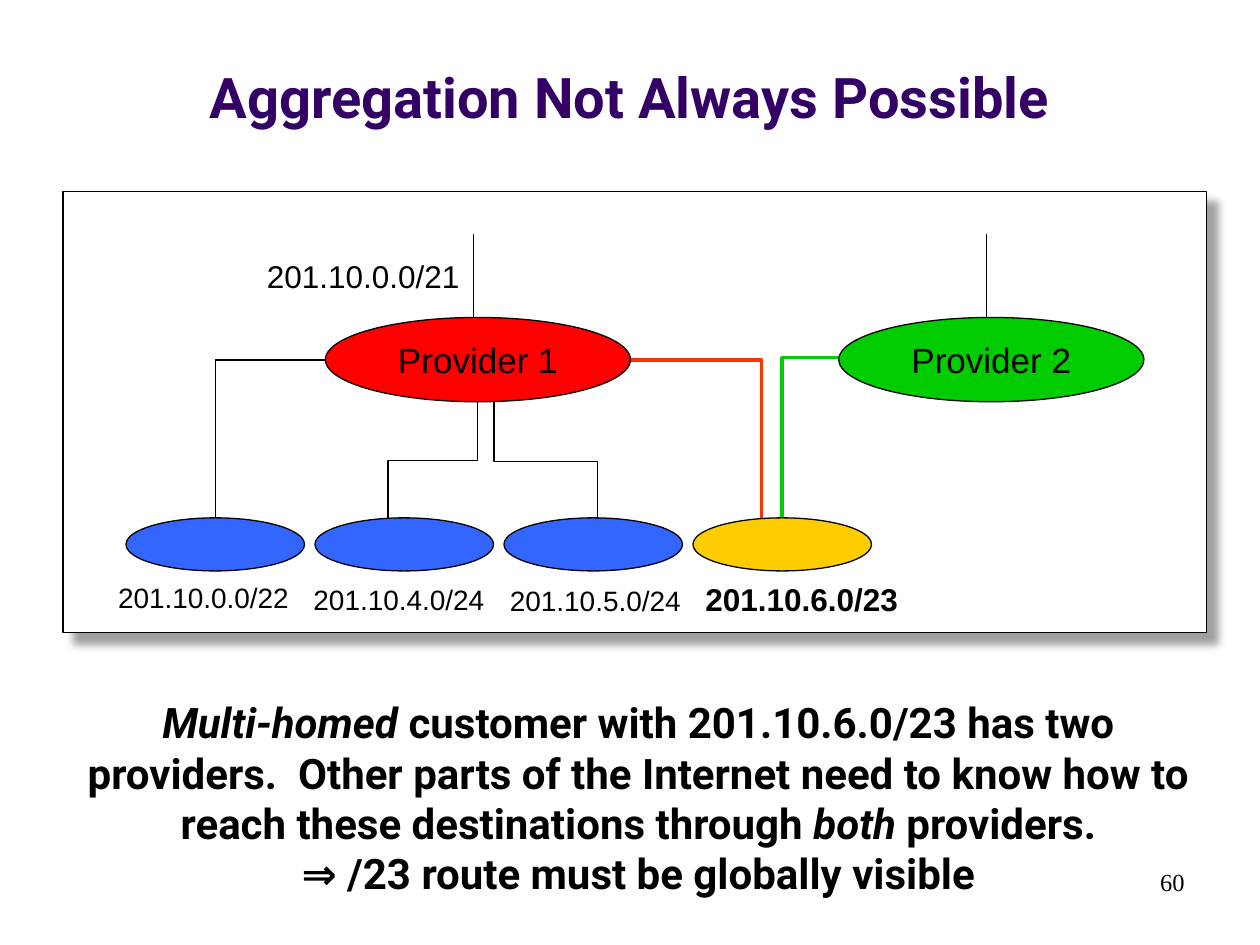
import pptx
import pptx.util
import pptx.dml.color
import pptx.enum.shapes
import pptx.enum.text
import pptx.oxml.ns
import lxml.etree

Cm, Pt = pptx.util.Cm, pptx.util.Pt
Kind = pptx.enum.shapes.MSO_SHAPE
Link = pptx.enum.shapes.MSO_CONNECTOR
Align = pptx.enum.text.PP_ALIGN
Anchor = pptx.enum.text.MSO_ANCHOR
qn = pptx.oxml.ns.qn

BLACK, WHITE, GREEN = "000000", "FFFFFF", "00CC00"
TITLE = "Aggregation Not Always Possible"
BODY = [
    [("Multi-homed", True),
     (" customer with 201.10.6.0/23 has two providers.  Other parts of the "
      "Internet need to know how to reach these destinations through ", False),
     ("both", True), (" providers.", False)],
    [("\u21d2 /23 route must be globally visible", False)],
]
LABELS = [
    ("201.10.0.0/21", (5.13, 5.05, 4.39, 1.02), 18, False),
    ("201.10.0.0/22", (2.13, 11.58, 3.96, 0.94), 16, False),
    ("201.10.4.0/24", (6.07, 11.61, 3.96, 0.94), 16, False),
    ("201.10.5.0/24", (10.03, 11.63, 3.96, 0.94), 16, False),
    ("201.10.6.0/23", (13.97, 11.56, 4.39, 1.02), 18, True),
]
HOSTS = [("Provider 1", 6.56, "FF0000"), ("Provider 2", 16.91, GREEN)]
USERS = ["3366FF", "3366FF", "3366FF", "FFCC00"]
WIRES = [
    ((4.34, 7.26, 2.21, 3.18), 180, "flipV", None, BLACK, 0.75),
    ((7.54, 8.38, 2.36, 1.8), 90, None, 49900, BLACK, 0.75),
    ((12.7, 7.26, 2.65, 3.18), 0, None, None, "FF3300", 2),
    ((9.83, 8.23, 2.34, 2.08), 270, "flipH", 51500, BLACK, 0.75),
    ((14.76, 8.26, 3.18, 1.17), 90, None, -1400, GREEN, 2),
]
STEMS = [9.55, 19.89]


def color(code):
    return pptx.dml.color.RGBColor.from_string(code)


def place(box):
    return [Cm(n) for n in box]


def write(para, text, size, font="Arial", code=BLACK, bold=False, slant=False):
    run = para.add_run()
    run.text = text
    face = run.font
    face.name, face.size, face.bold, face.italic = font, Pt(size), bold, slant
    face.color.rgb = color(code)


def label(box, wrap=False, align=Align.LEFT):
    frame = slide.shapes.add_textbox(*place(box)).text_frame
    frame.word_wrap = wrap
    frame.paragraphs[0].alignment = align
    return frame


def solid(kind, box, fill):
    shape = slide.shapes.add_shape(kind, *place(box))
    shape.fill.solid()
    shape.fill.fore_color.rgb = color(fill)
    shape.line.color.rgb = color(BLACK)
    shape.line.width = Pt(0.75)
    shape.shadow.inherit = False
    return shape


def wire(kind, ends, code, width):
    line = slide.shapes.add_connector(kind, *place(ends))
    line.line.color.rgb = color(code)
    line.line.width = Pt(width)
    props = line._element.spPr
    lxml.etree.SubElement(props, qn("a:effectLst"))
    return props


def bend(box, turn, flip, adjust, code, width):
    x, y, w, h = box
    props = wire(Link.ELBOW, (x, y, x + w, y + h), code, width)
    frame = props.find(qn("a:xfrm"))
    frame.set("rot", str(turn * 60000))
    if flip:
        frame.set(flip, "1")
    geom = props.find(qn("a:prstGeom"))
    if adjust is None:
        geom.set("prst", "bentConnector2")
    else:
        guide = lxml.etree.SubElement(geom.find(qn("a:avLst")), qn("a:gd"))
        guide.set("name", "adj1")
        guide.set("fmla", f"val {adjust}")


def shade(shape):
    effects = shape._element.spPr.find(qn("a:effectLst"))
    outer = lxml.etree.SubElement(
        effects, qn("a:outerShdw"), blurRad=str(Pt(5)), dist=str(Pt(8.5)),
        dir=str(45 * 60000), algn="tl", rotWithShape="0")
    tint = lxml.etree.SubElement(outer, qn("a:srgbClr"), val="808080")
    lxml.etree.SubElement(tint, qn("a:alpha"), val="75000")


deck = pptx.Presentation()
deck.slide_width, deck.slide_height = Cm(25.4), Cm(19.05)
slide = deck.slides.add_slide(deck.slide_layouts[5])

title = slide.shapes.title
title.left, title.top, title.width, title.height = place((0, 0.33, 25.4, 2.41))
title.text_frame.vertical_anchor = Anchor.BOTTOM
head = title.text_frame.paragraphs[0]
head.alignment = Align.CENTER
write(head, TITLE, 32, "Roboto", "330066", True)

shade(solid(Kind.RECTANGLE, (1.27, 3.86, 23.06, 8.89), WHITE))

for text, box, size, bold in LABELS:
    write(label(box).paragraphs[0], text, size, bold=bold)

for row in WIRES:
    bend(*row)
for x in STEMS:
    wire(Link.STRAIGHT, (x, 6.43, x, 4.72), BLACK, 0.75)

for i, fill in enumerate(USERS):
    solid(Kind.OVAL, (2.54 + 3.81 * i, 10.44, 3.6, 1.07), fill)
for name, x, fill in HOSTS:
    frame = solid(Kind.OVAL, (x, 6.4, 6.15, 1.7), fill).text_frame
    frame.word_wrap = False
    frame.vertical_anchor = Anchor.MIDDLE
    frame.paragraphs[0].alignment = Align.CENTER
    write(frame.paragraphs[0], name, 20)

frame = label((1.3, 13.92, 23.14, 4.32), True)
for i, runs in enumerate(BODY):
    para = frame.add_paragraph() if i else frame.paragraphs[0]
    para.alignment = Align.CENTER
    for text, slant in runs:
        write(para, text, 24, "Roboto", bold=True, slant=slant)

page = label((18.21, 17.35, 5.92, 1.27), True, Align.RIGHT)
write(page.paragraphs[0], "60", 14, "Times New Roman")

deck.save("out.pptx")
